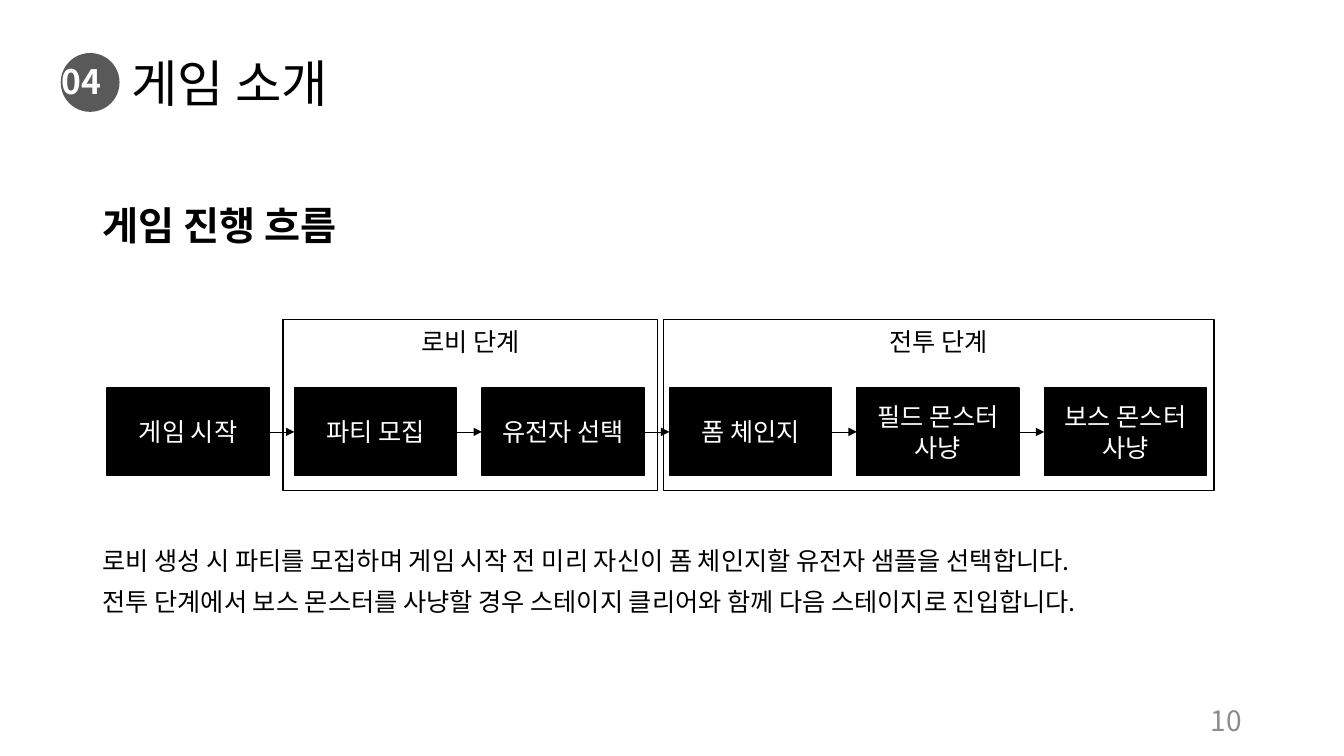
from dataclasses import dataclass

from lxml.etree import SubElement
from pptx import Presentation
from pptx.dml.color import RGBColor
from pptx.enum.shapes import MSO_CONNECTOR, MSO_SHAPE
from pptx.enum.text import MSO_ANCHOR as Anchor, PP_ALIGN as Align
from pptx.oxml.ns import qn
from pptx.shapes.autoshape import Shape
from pptx.slide import Slide
from pptx.util import Pt

FONT = "Noto Sans CJK KR"
COLORS = {
    "black": "000000",
    "white": "FFFFFF",
    "badge": "595959",
    "page": "8C8C8C",
}

STEP_LEFT, STEP_TOP = 76.4, 277.1
STEP_WIDTH, STEP_HEIGHT = 116, 62.8
STEP_PITCH = 133.9
PHASE_TOP, PHASE_HEIGHT = 228.2, 122.4
STEPS = [
    ["게임 시작"],
    ["파티 모집"],
    ["유전자 선택"],
    ["폼 체인지"],
    ["필드 몬스터 사냥"],
    ["보스 몬스터", "사냥"],
]


@dataclass(frozen=True)
class Phase:
    label: str
    left: float
    width: float


@dataclass(frozen=True)
class TextStyle:
    size: float
    color: str = "black"
    bold: bool = False
    align: Align = Align.LEFT
    anchor: Anchor = Anchor.TOP
    line_spacing: float = 1.0
    space_between: float = 0


@dataclass(frozen=True)
class TextBlock:
    lines: list[str]
    left: float
    top: float
    width: float
    height: float
    style: TextStyle


PHASES = [
    Phase("전투 단계", 473.9, 393.3),
    Phase("로비 단계", 202.3, 267.3),
]
TITLE_STYLE = TextStyle(36, anchor=Anchor.MIDDLE, line_spacing=0.9)
PHASE_STYLE = TextStyle(18, align=Align.CENTER)
STEP_STYLE = TextStyle(18, "white", align=Align.CENTER, anchor=Anchor.MIDDLE)
TEXT_BLOCKS = [
    TextBlock(["게임 진행 흐름"], 66.2, 144, 828, 35.3,
              TextStyle(28, bold=True, line_spacing=0.9)),
    TextBlock(
        [
            "로비 생성 시 파티를 모집하며 게임 시작 전 미리 자신이 폼 체인지할 유전자 샘플을 선택합니다.",
            "전투 단계에서 보스 몬스터를 사냥할 경우 스테이지 클리어와 함께 다음 스테이지로 진입합니다.",
        ],
        66.2, 388.1, 828, 35.3,
        TextStyle(18, line_spacing=0.9, space_between=10),
    ),
    TextBlock(["04"], 36.7, 41, 49, 35.3,
              TextStyle(24, "white", True, anchor=Anchor.BOTTOM, line_spacing=0.9)),
    TextBlock(["10"], 678.2, 500.4, 216, 28.8,
              TextStyle(20, "page", align=Align.RIGHT, anchor=Anchor.MIDDLE)),
]


def rgb(name: str) -> RGBColor:
    return RGBColor.from_string(COLORS[name])


def write_text(shape: Shape, lines: list[str], style: TextStyle) -> None:
    frame = shape.text_frame
    frame.word_wrap = True
    frame.vertical_anchor = style.anchor
    frame.text = "\n".join(lines)
    for index, paragraph in enumerate(frame.paragraphs):
        paragraph.alignment = style.align
        paragraph.line_spacing = style.line_spacing
        paragraph.space_before = Pt(style.space_between if index else 0)
        font = paragraph.font
        font.name, font.size, font.bold = FONT, Pt(style.size), style.bold
        font.color.rgb = rgb(style.color)
        # Korean glyphs take their typeface from the East Asian slot.
        defaults = paragraph._p.pPr.find(qn("a:defRPr"))
        SubElement(defaults, qn("a:ea")).set("typeface", FONT)


def add_text(slide: Slide, block: TextBlock) -> None:
    box = slide.shapes.add_textbox(
        Pt(block.left), Pt(block.top), Pt(block.width), Pt(block.height))
    write_text(box, block.lines, block.style)


def add_shape(slide: Slide, kind: MSO_SHAPE, left: float, top: float, width: float,
              height: float, fill: str | None, line: str | None) -> Shape:
    shape = slide.shapes.add_shape(kind, Pt(left), Pt(top), Pt(width), Pt(height))
    shape.shadow.inherit = False
    if fill:
        shape.fill.solid()
        shape.fill.fore_color.rgb = rgb(fill)
    else:
        shape.fill.background()
    if line:
        shape.line.color.rgb = rgb(line)
        shape.line.width = Pt(1)
    else:
        shape.line.fill.background()
    return shape


def add_arrow(slide: Slide, start: float, end: float, y: float) -> None:
    arrow = slide.shapes.add_connector(
        MSO_CONNECTOR.STRAIGHT, Pt(start), Pt(y), Pt(end), Pt(y))
    arrow.line.color.rgb = rgb("black")
    arrow.line.width = Pt(0.5)
    SubElement(arrow.line._get_or_add_ln(), qn("a:tailEnd")).set("type", "triangle")
    SubElement(arrow._element.spPr, qn("a:effectLst"))


def add_title(slide: Slide, text: str) -> None:
    title = slide.shapes.title
    title.left, title.top = Pt(86.4), Pt(29.5)
    title.width, title.height = Pt(350.6), Pt(64.8)
    write_text(title, [text], TITLE_STYLE)


def add_flow(slide: Slide) -> None:
    for phase in PHASES:
        frame = add_shape(slide, MSO_SHAPE.RECTANGLE, phase.left, PHASE_TOP,
                          phase.width, PHASE_HEIGHT, None, "black")
        write_text(frame, [phase.label], PHASE_STYLE)
        frame.text_frame.margin_top = Pt(5)
    for index, lines in enumerate(STEPS):
        left = STEP_LEFT + index * STEP_PITCH
        step = add_shape(slide, MSO_SHAPE.RECTANGLE, left, STEP_TOP,
                         STEP_WIDTH, STEP_HEIGHT, "black", "black")
        write_text(step, lines, STEP_STYLE)
        if index:
            add_arrow(slide, left - STEP_PITCH + STEP_WIDTH, left,
                      STEP_TOP + STEP_HEIGHT / 2)


def main() -> None:
    presentation = Presentation()
    presentation.slide_width, presentation.slide_height = Pt(960), Pt(540)
    slide = presentation.slides.add_slide(
        presentation.slide_layouts.get_by_name("Title Only"))
    add_title(slide, "게임 소개")
    add_shape(slide, MSO_SHAPE.OVAL, 43.4, 37.9, 42, 42, "badge", None)
    add_flow(slide)
    for block in TEXT_BLOCKS:
        add_text(slide, block)
    presentation.save("out.pptx")


if __name__ == "__main__":
    main()
